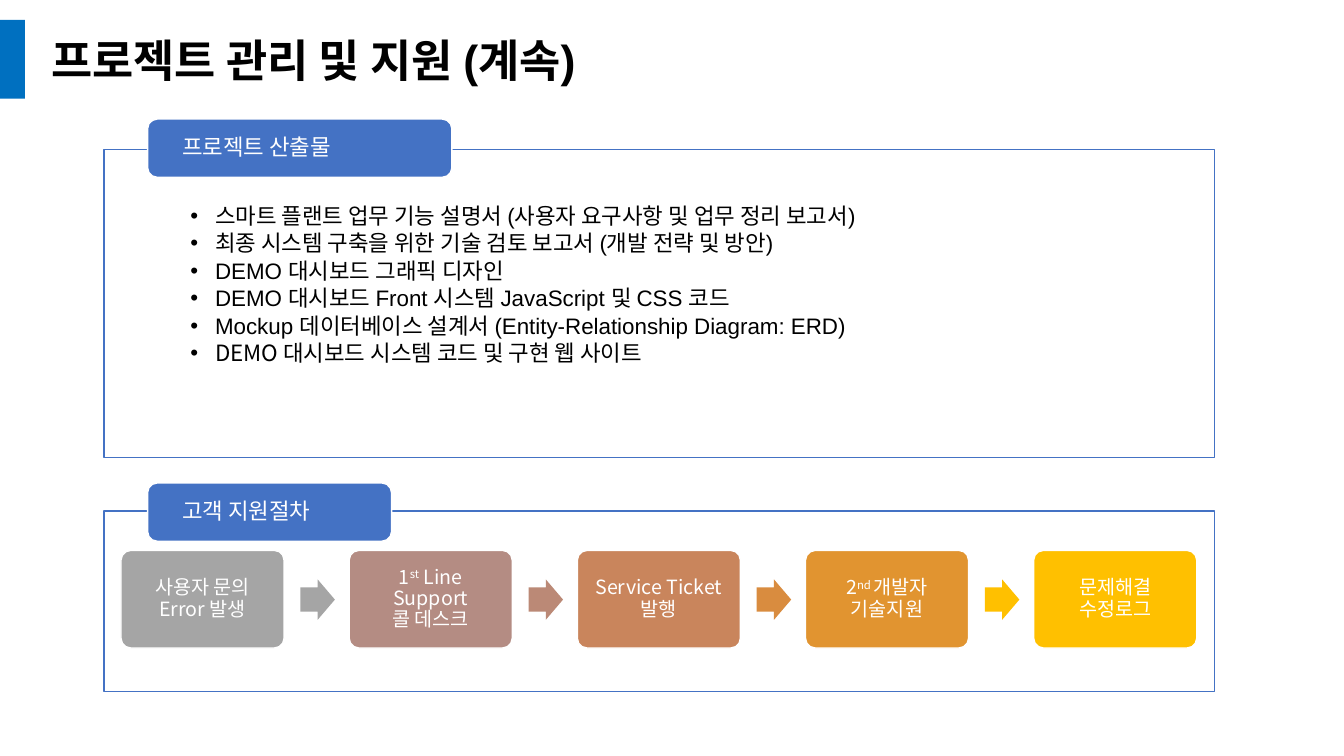
"""Build the slide on project deliverables and the customer support steps."""
import pptx
import pptx.dml.color
import pptx.enum.shapes
import pptx.enum.text
import pptx.oxml
import pptx.oxml.ns
import pptx.util

Cm, Pt = pptx.util.Cm, pptx.util.Pt
RGB = pptx.dml.color.RGBColor.from_string
Kind = pptx.enum.shapes.MSO_SHAPE
Align = pptx.enum.text.PP_ALIGN
Mid = pptx.enum.text.MSO_ANCHOR.MIDDLE
Top = pptx.enum.text.MSO_ANCHOR.TOP

theme = {
    "bar": "0070C0", "blue": "4472C4", "white": "FFFFFF", "black": "000000",
    "steps": ["A5A5A5", "B48C83", "C9855C", "E19430", "FFC000"],
    "arrows": ["A5A5A5", "BB8976", "D98C3F", "FFC000"],
    "latin": "Arial", "korean": "Noto Sans CJK KR",
    "title": 32, "body": 16, "step": 14,
}


def draw(kind, box, fill, line=None):
    """Add a flat shape; box is left, top, width, height in cm."""
    shape = slide.shapes.add_shape(kind, *map(Cm, box))
    shape.shadow.inherit = False
    shape.fill.solid()
    shape.fill.fore_color.rgb = RGB(fill)
    if line:
        shape.line.color.rgb = RGB(line)
        shape.line.width = Pt(1)
    else:
        shape.line.fill.background()
    return shape


def write(para, text, size, color, face, align=Align.LEFT, after=0, bold=False):
    """Fill a paragraph; ^ marks superscript and a newline breaks the line."""
    looks = {"alignment": align, "line_spacing": 0.9,
             "space_before": Pt(0), "space_after": Pt(after)}
    for name, value in looks.items():
        setattr(para, name, value)
    for row, line in enumerate(text.split("\n")):
        if row:
            para.add_line_break()
        for part, words in enumerate(line.split("^")):
            run = para.add_run()
            run.text = words
            for name, value in {"size": Pt(size), "name": face, "bold": bold}.items():
                setattr(run.font, name, value)
            run.font.color.rgb = RGB(color)
            props = run.font._element
            east = pptx.oxml.parse_xml(
                f'<a:ea {pptx.oxml.ns.nsdecls("a")} typeface="{theme["korean"]}"/>')
            props.find(pptx.oxml.ns.qn("a:latin")).addnext(east)
            if part % 2:
                props.set("baseline", "30000")


deck = pptx.Presentation()
deck.slide_width, deck.slide_height = Cm(33.87), Cm(19.05)
slide = deck.slides.add_slide(deck.slide_layouts[1])
title, body = slide.placeholders

frames = [
    (title, (1.04, 0.71, 31.8, 1.75), Mid, (0.25, 0.13, 0.25, 0.13)),
    (body, (2.62, 3.76, 27.99, 7.77), Top, (2.18, 1.4, 2.18, 0.3)),
]
for holder, box, anchor, inset in frames:
    for name, value in zip(("left", "top", "width", "height"), box):
        setattr(holder, name, Cm(value))
    sides = ("margin_left", "margin_top", "margin_right", "margin_bottom")
    for name, value in zip(sides, inset):
        setattr(holder.text_frame, name, Cm(value))
    holder.text_frame.vertical_anchor = anchor
    holder.text_frame.auto_size = pptx.enum.text.MSO_AUTO_SIZE.NONE

draw(Kind.RECTANGLE, (0, 0.5, 0.63, 1.99), theme["bar"])
write(title.text_frame.paragraphs[0], "프로젝트 관리 및 지원 (계속)",
      theme["title"], theme["black"], theme["latin"], bold=True)

body.fill.solid()
body.fill.fore_color.rgb = RGB(theme["white"])
body.line.color.rgb = RGB(theme["blue"])
body.line.width = Pt(1)
items = [
    ("스마트 플랜트 업무 기능 설명서 (사용자 요구사항 및 업무 정리 보고서)", "latin"),
    ("최종 시스템 구축을 위한 기술 검토 보고서 (개발 전략 및 방안)", "latin"),
    ("DEMO 대시보드 그래픽 디자인", "latin"),
    ("DEMO 대시보드 Front 시스템 JavaScript 및 CSS 코드", "latin"),
    ("Mockup 데이터베이스 설계서 (Entity-Relationship Diagram: ERD)", "latin"),
    ("DEMO 대시보드 시스템 코드 및 구현 웹 사이트", "korean"),
]
for row, (text, face) in enumerate(items):
    para = body.text_frame.add_paragraph() if row else body.text_frame.paragraphs[0]
    write(para, text, theme["body"], theme["black"], theme[face], after=2.4)
    for name, value in {"marL": Cm(0.62), "indent": -Cm(0.62)}.items():
        para._p.get_or_add_pPr().set(name, str(value))

draw(Kind.RECTANGLE, (2.62, 12.88, 27.99, 4.55), theme["white"], theme["blue"])

tabs = [("프로젝트 산출물", 3.0, 7.67), ("고객 지원절차", 12.17, 6.15)]
for text, top, width in tabs:
    tab = draw(Kind.ROUNDED_RECTANGLE, (3.72, top, width, 1.47),
               theme["blue"], theme["white"])
    looks = {"margin_left": Cm(0.8), "margin_right": Cm(0.8), "margin_top": 0,
             "margin_bottom": 0, "vertical_anchor": Mid, "word_wrap": True}
    for name, value in looks.items():
        setattr(tab.text_frame, name, value)
    write(tab.text_frame.paragraphs[0], text, theme["body"], theme["white"],
          theme["korean"])

steps = ["사용자 문의\nError 발생", "1^st^ Line Support\n콜 데스크",
         "Service Ticket 발행", "2^nd ^개발자\n기술지원", "문제해결\n수정로그"]
for col, (text, fill) in enumerate(zip(steps, theme["steps"])):
    left = 3.05 + col * 5.75
    step = draw(Kind.ROUNDED_RECTANGLE, (left, 13.87, 4.11, 2.46), fill, theme["white"])
    step.adjustments[0] = 0.1
    looks = {"margin_left": Cm(0.2), "margin_right": Cm(0.2),
             "vertical_anchor": Mid, "word_wrap": True}
    for name, value in looks.items():
        setattr(step.text_frame, name, value)
    write(step.text_frame.paragraphs[0], text, theme["step"], theme["white"],
          theme["korean"], Align.CENTER)
    if col < len(theme["arrows"]):
        arrow = draw(Kind.RIGHT_ARROW, (left + 4.52, 14.6, 0.87, 1.02),
                     theme["arrows"][col])
        arrow.adjustments[0] = 0.6

deck.save("out.pptx")
